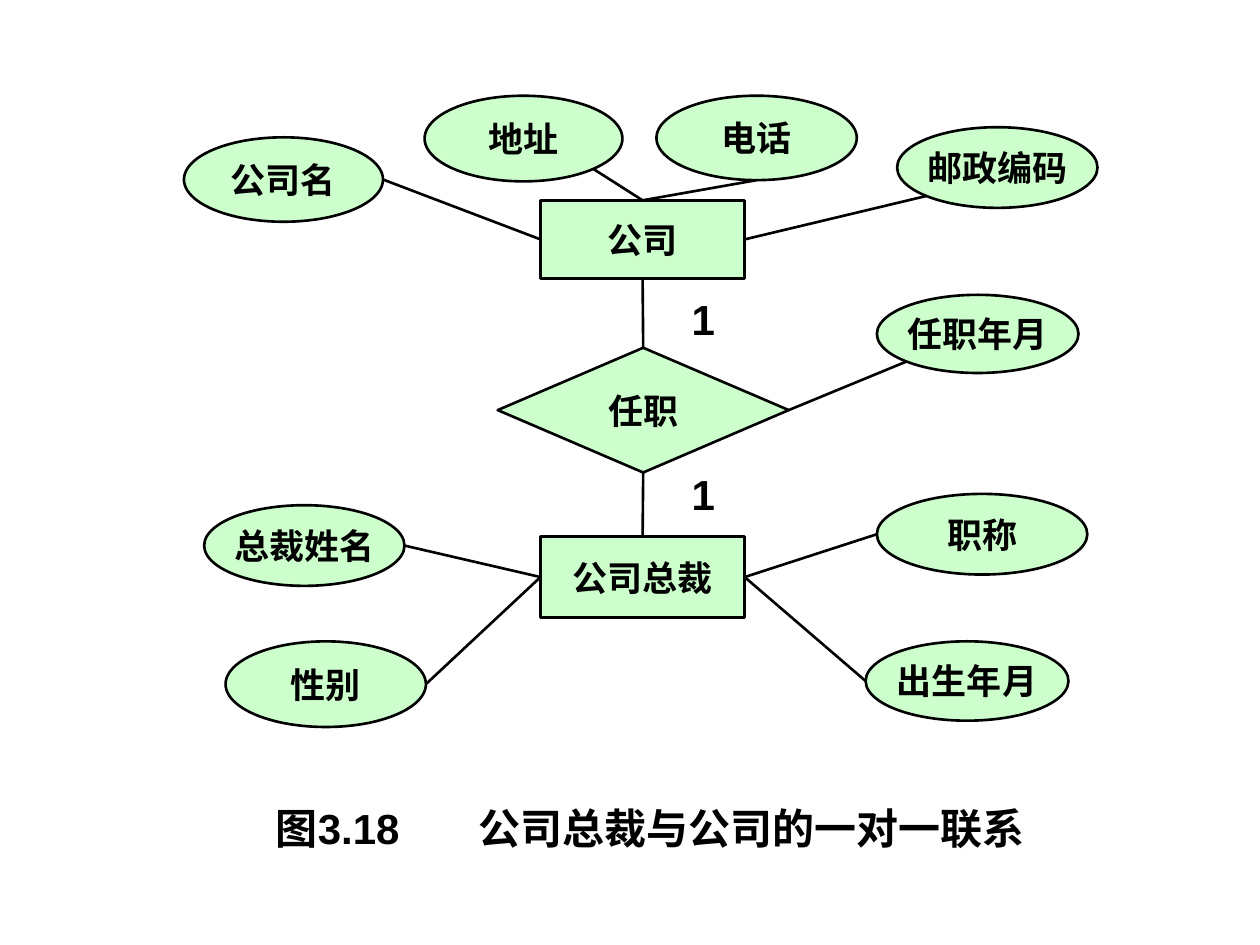
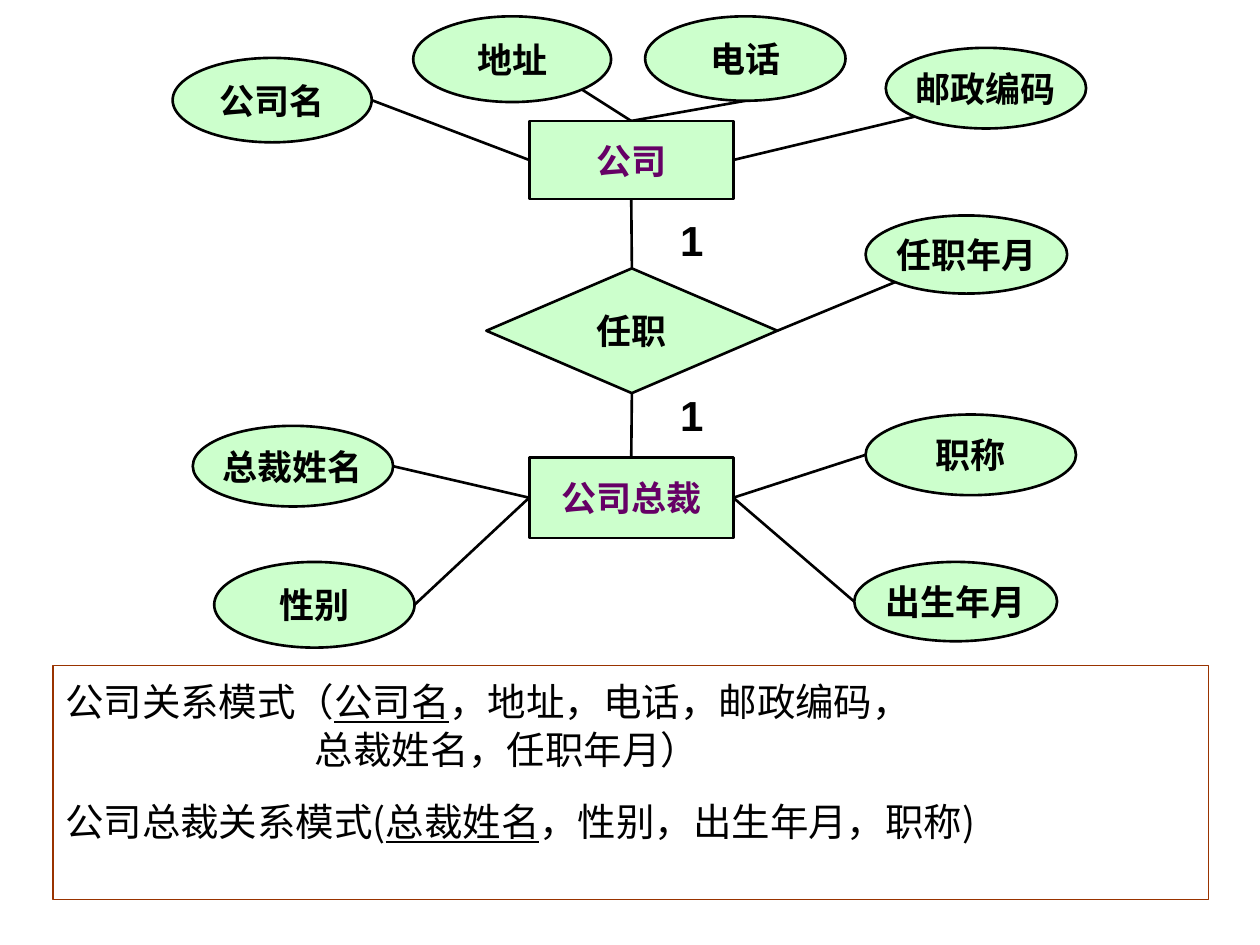
from lxml.etree import SubElement
from pptx import Presentation
from pptx.dml.color import RGBColor
from pptx.enum.shapes import MSO_CONNECTOR as Connector, MSO_SHAPE as Shape
from pptx.enum.text import MSO_ANCHOR as Anchor, PP_ALIGN as Align
from pptx.oxml.ns import qn
from pptx.util import Inches, Pt

LATIN, CHINESE = "Arial", "Noto Sans CJK SC"
BLACK, GREEN, PURPLE, BROWN = "000000", "CCFFCC", "660066", "993300"

NODES = {
    "公司": (Shape.RECTANGLE, 4.29, 1.59, 1.62, 0.62),
    "公司名": (Shape.OVAL, 1.46, 1.09, 1.58, 0.67),
    "地址": (Shape.OVAL, 3.37, 0.76, 1.57, 0.68),
    "电话": (Shape.OVAL, 5.21, 0.76, 1.59, 0.67),
    "邮政编码": (Shape.OVAL, 7.12, 1.01, 1.59, 0.64),
    "任职": (Shape.FLOWCHART_DECISION, 3.95, 2.76, 2.31, 0.99),
    "任职年月": (Shape.OVAL, 6.96, 2.34, 1.6, 0.62),
    "公司总裁": (Shape.RECTANGLE, 4.29, 4.26, 1.62, 0.64),
    "出生年月": (Shape.OVAL, 6.87, 5.09, 1.61, 0.63),
    "总裁姓名": (Shape.OVAL, 1.62, 4.01, 1.59, 0.64),
    "职称": (Shape.OVAL, 6.96, 3.92, 1.67, 0.64),
    "性别": (Shape.OVAL, 1.79, 5.09, 1.59, 0.68),
}
ENTITIES = ("公司", "公司总裁")
SITES = {
    "top": (0.5, 0), "bottom": (0.5, 1), "left": (0, 0.5), "right": (1, 0.5),
    "lower left": (0.15, 0.85), "lower right": (0.85, 0.85),
}
LINKS = [
    ("公司名", "right", "公司", "left"),
    ("地址", "lower right", "公司", "top"),
    ("电话", "bottom", "公司", "top"),
    ("邮政编码", "lower left", "公司", "right"),
    ("公司", "bottom", "任职", "top"),
    ("任职", "right", "任职年月", "lower left"),
    ("任职", "bottom", "公司总裁", "top"),
    ("总裁姓名", "right", "公司总裁", "left"),
    ("性别", "right", "公司总裁", "left"),
    ("公司总裁", "right", "职称", "left"),
    ("公司总裁", "right", "出生年月", "left"),
]
CARDINALITY_TOPS = (2.28, 3.67)


def color(value):
    """Turn a hex string into a colour."""
    return RGBColor.from_string(value)


def add_text(paragraph, text, size=20, font=LATIN, fill=BLACK, bold=False, underline=False):
    """Append a formatted run to a paragraph."""
    run = paragraph.add_run()
    run.text = text
    run.font.size = Pt(size)
    run.font.name = font
    run.font.bold = bold
    run.font.underline = underline
    run.font.color.rgb = color(fill)
    SubElement(run.font._element, qn("a:ea"), typeface=CHINESE)


class Diagram:
    """Draws the elements of an entity diagram on the current slide."""

    def __init__(self, presentation, left=0, top=0):
        """Add a blank slide whose diagram is shifted by left and top."""
        self.slide = presentation.slides.add_slide(presentation.slide_layouts[6])
        self.left, self.top = left, top

    def node(self, text, fill):
        """Draw one labelled entity, attribute or relationship."""
        kind, left, top, width, height = NODES[text]
        shape = self.slide.shapes.add_shape(
            kind, Inches(left + self.left), Inches(top + self.top), Inches(width), Inches(height))
        shape.shadow.inherit = False
        shape.fill.solid()
        shape.fill.fore_color.rgb = color(GREEN)
        shape.line.color.rgb = color(BLACK)
        shape.line.width = Pt(1.5)
        frame = shape.text_frame
        frame.word_wrap = False
        frame.vertical_anchor = Anchor.MIDDLE
        frame.paragraphs[0].alignment = Align.CENTER
        add_text(frame.paragraphs[0], text, fill=fill, bold=True)

    def site(self, name, side):
        """Return the point where a line meets a side of a node."""
        _, left, top, width, height = NODES[name]
        across, down = SITES[side]
        return (Inches(left + across * width + self.left),
                Inches(top + down * height + self.top))

    def link(self, start, start_side, end, end_side):
        """Draw a line between the sides of two nodes."""
        line = self.slide.shapes.add_connector(
            Connector.STRAIGHT, *self.site(start, start_side), *self.site(end, end_side))
        line.line.color.rgb = color(BLACK)
        line.line.width = Pt(1.5)
        SubElement(line._element.spPr, qn("a:effectLst"))

    def text_box(self, left, top, width, height):
        """Add a wrapping text box and return it."""
        shape = self.slide.shapes.add_textbox(
            Inches(left), Inches(top), Inches(width), Inches(height))
        shape.text_frame.word_wrap = True
        return shape

    def relationship(self, entity_fill=BLACK):
        """Draw the whole one-to-one diagram."""
        for link in LINKS:
            self.link(*link)
        for name in NODES:
            self.node(name, entity_fill if name in ENTITIES else BLACK)
        for top in CARDINALITY_TOPS:
            label = self.text_box(5.39 + self.left, top + self.top, 0.58, 0.5)
            add_text(label.text_frame.paragraphs[0], "1", size=24, bold=True)

    def caption(self, number, title):
        """Write the figure number and, after a tab, its title."""
        paragraph = self.text_box(2.09, 6.32, 6.25, 0.5).text_frame.paragraphs[0]
        tabs = SubElement(paragraph._p.get_or_add_pPr(), qn("a:tabLst"))
        SubElement(tabs, qn("a:tab"), pos=str(Inches(1.61)), algn="l")
        add_text(paragraph, f"{number}\t{title}", size=24, bold=True)

    def schemas(self, lines):
        """Write schema lines, each an indent, a space before and its runs, in a frame."""
        shape = self.text_box(0.42, 5.28, 9.17, 1.86)
        shape.line.color.rgb = color(BROWN)
        shape.line.width = Pt(0.75)
        frame = shape.text_frame
        frame.margin_top = Inches(0.1)
        for index, (indent, space, runs) in enumerate(lines):
            paragraph = frame.add_paragraph() if index else frame.paragraphs[0]
            paragraph._p.get_or_add_pPr().set("marL", str(Inches(indent)))
            paragraph.space_before = Pt(space)
            for text, is_key in runs:
                add_text(paragraph, text, size=22, font=CHINESE, underline=is_key)


def main():
    """Build and save both slides."""
    presentation = Presentation()
    presentation.slide_width, presentation.slide_height = Inches(10), Inches(7.5)

    figure = Diagram(presentation)
    figure.relationship()
    figure.caption("图3.18", "公司总裁与公司的一对一联系")

    conversion = Diagram(presentation, left=-0.09, top=-0.63)
    conversion.relationship(PURPLE)
    conversion.schemas([
        (0, 0, [("公司关系模式（", False), ("公司名", True), ("，地址，电话，邮政编码，", False)]),
        (1.98, 1, [("总裁姓名，任职年月）", False)]),
        (0, 15, [("公司总裁关系模式(", False), ("总裁姓名", True),
                 ("，性别，出生年月，职称)", False)]),
    ])
    presentation.save("out.pptx")


if __name__ == "__main__":
    main()
